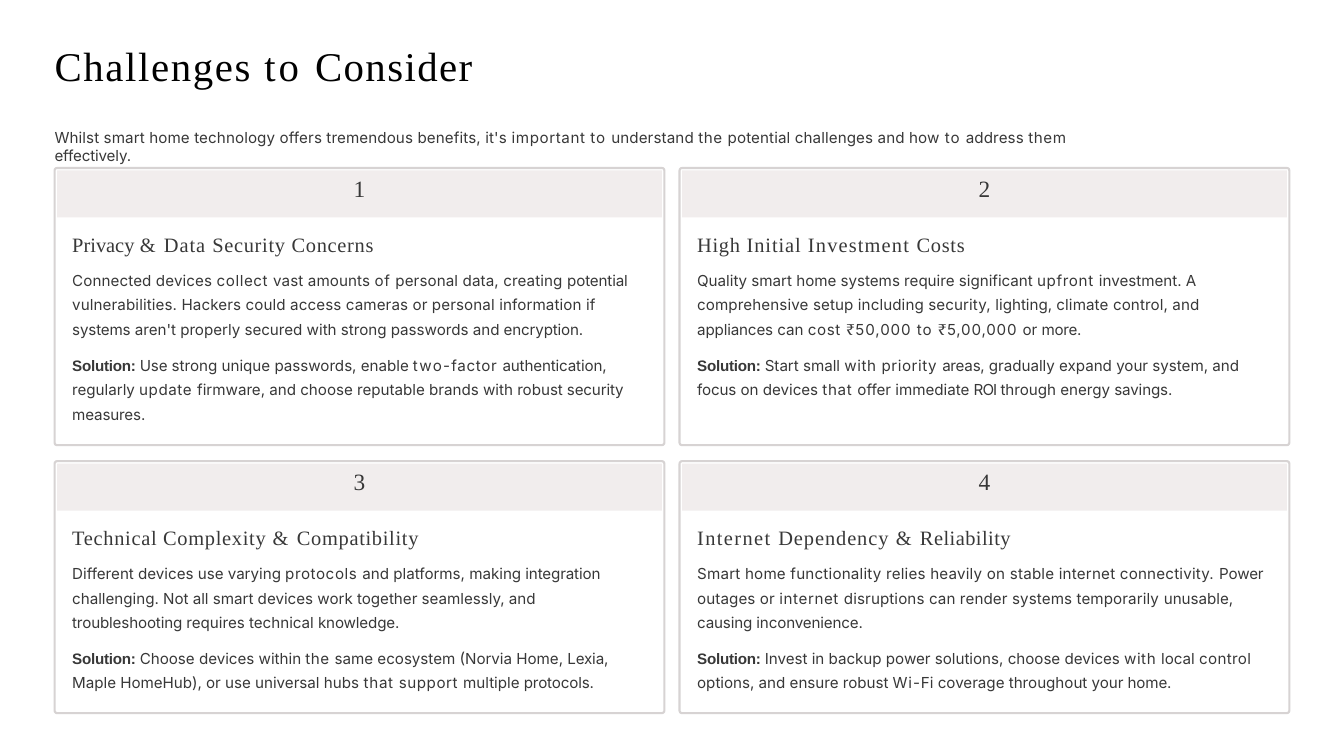
from pptx import Presentation
from pptx.dml.color import RGBColor
from pptx.enum.shapes import MSO_SHAPE as Shape
from pptx.enum.text import MSO_ANCHOR as Anchor, PP_ALIGN as Align
from pptx.util import Inches, Pt

COLORS = {"title": "010101", "text": "383838", "border": "D7D3D3", "band": "F1EDED"}
SERIF, SANS, BOLD_SANS = "Times New Roman", "Inter", "Arial"

TITLE = [("Challenges ", 1.4), ("to ", 2.5), ("Consider", 1.2)]
INTRO = [
    ("Whilst smart home technology offers tremendous benefits, it's ", 0.1),
    ("important ", 0.5), ("to ", 0.8), ("understand ", 0.1), ("the ", 0.5),
    ("potential challenges and how", 0.1), (" to ", 0.8), ("address ", 0.1),
    ("them ", 0.5), ("effectively.", -0.1),
]
CARDS = [
    {
        "heading": [("Privacy ", 0), ("& ", 1.4), ("Data ", 0.8), ("Security Concerns", 0.6)],
        "problem": [
            ("Connected devices ", 0.1), ("collect ", 0.5), ("vast amounts ", 0.1),
            ("of ", 0.5), ("personal data, creating ", 0.1), ("potential ", -0.1),
            ("vulnerabilities. Hackers could access cameras or personal information if ", 0.1),
            ("systems ", -0.1), ("aren't properly secured with strong passwords and ", 0),
            ("encryption.", -0.1),
        ],
        "solution": [
            ("Use ", -0.1), ("strong unique passwords, enable ", 0), ("two-", 1.1),
            ("factor ", 0.6), ("authentication, ", -0.1), ("regularly ", 0), ("update ", 0.5),
            ("firmware, and choose reputable brands with robust ", 0),
            ("security measures.", -0.1),
        ],
    },
    {
        "heading": [("High ", 0.6), ("Initial ", 0.8), ("Investment ", 1), ("Costs", 0.6)],
        "problem": [
            ("Quality smart home systems require significant ", 0), ("upfront ", 0.6),
            ("investment. ", 0), ("A ", -0.5), ("comprehensive setup including security, ", 0.1),
            ("lighting, ", 0), ("climate control, and ", 0.1), ("appliances ", -0.1),
            ("can ", 0), ("cost ", 0.6), ("₹", 0.8), ("50,000 to ", 0.8), ("₹", 0.7),
            ("5,00,000 ", 0.7), ("or ", 0), ("more.", -0.2),
        ],
        "solution": [
            ("Start small ", 0), ("with priority ", 0.5), ("areas, ", -0.2),
            ("gradually expand your system, and ", 0), ("focus ", -0.1), ("on devices ", 0),
            ("that ", 0.6), ("offer immediate ", 0), ("ROI ", -0.8), ("through energy ", 0),
            ("savings.", -0.1),
        ],
    },
    {
        "heading": [("Technical Complexity ", 0.6), ("& ", 1.4), ("Compatibility", 0.6)],
        "problem": [
            ("Different devices use varying ", 0), ("protocols ", 0.5),
            ("and platforms, making ", 0), ("integration ", -0.1),
            ("challenging. Not all smart devices work together seamlessly, and ", 0),
            ("troubleshooting ", -0.1), ("requires technical ", 0), ("knowledge.", -0.1),
        ],
        "solution": [
            ("Choose devices within ", 0), ("the ", 0.5), ("same ecosystem (Norvia Home, ", 0),
            ("Lexia, ", -0.1), ("Maple HomeHub), or use universal hubs", 0), (" that ", 0.6),
            ("support ", 0.5), ("multiple ", 0), ("protocols.", -0.1),
        ],
    },
    {
        "heading": [("Internet ", 1.2), ("Dependency ", 0.8), ("& ", 1.4), ("Reliability", 0.4)],
        "problem": [
            ("Smart home functionality relies heavily on stable internet connectivity. ", 0.2),
            ("Power ", -0.1), ("outages or ", 0.1), ("internet ", 0.5),
            ("disruptions can render systems temporarily ", 0.1), ("unusable, ", 0),
            ("causing inconvenience.", -0.1),
        ],
        "solution": [
            ("Invest in backup power solutions, choose devices ", 0), ("with ", 0.5),
            ("local ", 0), ("control ", 0.3), ("options, and ensure robust ", 0),
            ("Wi-", 0.8), ("Fi coverage throughout your ", 0), ("home.", -0.1),
        ],
    },
]

LEFT, COLUMN_STEP, CARD_WIDTH = 0.65, 7.44, 7.26
ROWS = [(2, 3.3), (5.49, 3)]
CORNER, PADDING = 0.03, 0.2
BAND_HEIGHT, BODY_OFFSET = 0.56, 0.75


def color(name):
    return RGBColor.from_string(COLORS[name])


def set_insets(frame, left, top):
    frame.word_wrap = True
    frame.vertical_anchor = Anchor.TOP
    frame.margin_left, frame.margin_top = Inches(left), Inches(top)
    frame.margin_right = frame.margin_bottom = 0


def add_text_box(slide, left, top, width, height):
    frame = slide.shapes.add_textbox(*map(Inches, (left, top, width, height))).text_frame
    set_insets(frame, 0.01, 0.01)
    return frame


def add_run(paragraph, text, spacing):
    run = paragraph.add_run()
    run.text = text
    run._r.get_or_add_rPr().set("spc", str(round(spacing * 100)))
    if text == "₹":
        run.font.name = SERIF
    return run


def write(paragraph, runs, font, size, before, ink="text", line=None, label=None):
    paragraph.font.name, paragraph.font.size = font, Pt(size)
    paragraph.font.color.rgb = color(ink)
    paragraph.space_before = Pt(before)
    if line:
        paragraph.line_spacing = line
    if label:
        label_run = add_run(paragraph, label, -0.2)
        label_run.font.name, label_run.font.bold = BOLD_SANS, True
    for text, spacing in runs:
        add_run(paragraph, text, spacing)


def add_panel(slide, kind, left, top, width, height):
    shape = slide.shapes.add_shape(kind, *map(Inches, (left, top, width, height)))
    shape.shadow.inherit = False
    return shape


def add_card(slide, number, card, left, top, height):
    border = add_panel(slide, Shape.ROUNDED_RECTANGLE, left, top, CARD_WIDTH, height)
    border.adjustments[0] = CORNER / height
    border.fill.background()
    border.line.color.rgb = color("border")
    border.line.width = Pt(1.8)

    band = add_panel(slide, Shape.RECTANGLE, left + CORNER, top + CORNER,
                     CARD_WIDTH - 2 * CORNER, BAND_HEIGHT)
    band.fill.solid()
    band.fill.fore_color.rgb = color("band")
    band.line.fill.background()
    set_insets(band.text_frame, 0, 0.04)
    band_paragraph = band.text_frame.paragraphs[0]
    band_paragraph.alignment = Align.CENTER
    write(band_paragraph, [(str(number), 0.1)], SERIF, 20, 2.5)

    body = add_text_box(slide, left + PADDING, top + BODY_OFFSET,
                        CARD_WIDTH - 2 * PADDING, height - BODY_OFFSET - PADDING)
    write(body.paragraphs[0], card["heading"], SERIF, 17.5, 1)
    write(body.add_paragraph(), card["problem"], SANS, 13, 7.3, line=1.35)
    write(body.add_paragraph(), card["solution"], SANS, 13, 9.4, line=1.35, label="Solution: ")


def main():
    presentation = Presentation()
    presentation.slide_width, presentation.slide_height = Inches(16), Inches(9)
    slide = presentation.slides.add_slide(presentation.slide_layouts[6])
    title = add_text_box(slide, 0.64, 0.47, 5.01, 0.61)
    write(title.paragraphs[0], TITLE, SERIF, 35, 1.1, ink="title")
    intro = add_text_box(slide, 0.64, 1.52, 12.53, 0.24)
    write(intro.paragraphs[0], INTRO, SANS, 13, 0.9)
    for index, card in enumerate(CARDS):
        row, column = divmod(index, 2)
        top, height = ROWS[row]
        add_card(slide, index + 1, card, LEFT + column * COLUMN_STEP, top, height)
    presentation.save("out.pptx")


if __name__ == "__main__":
    main()
